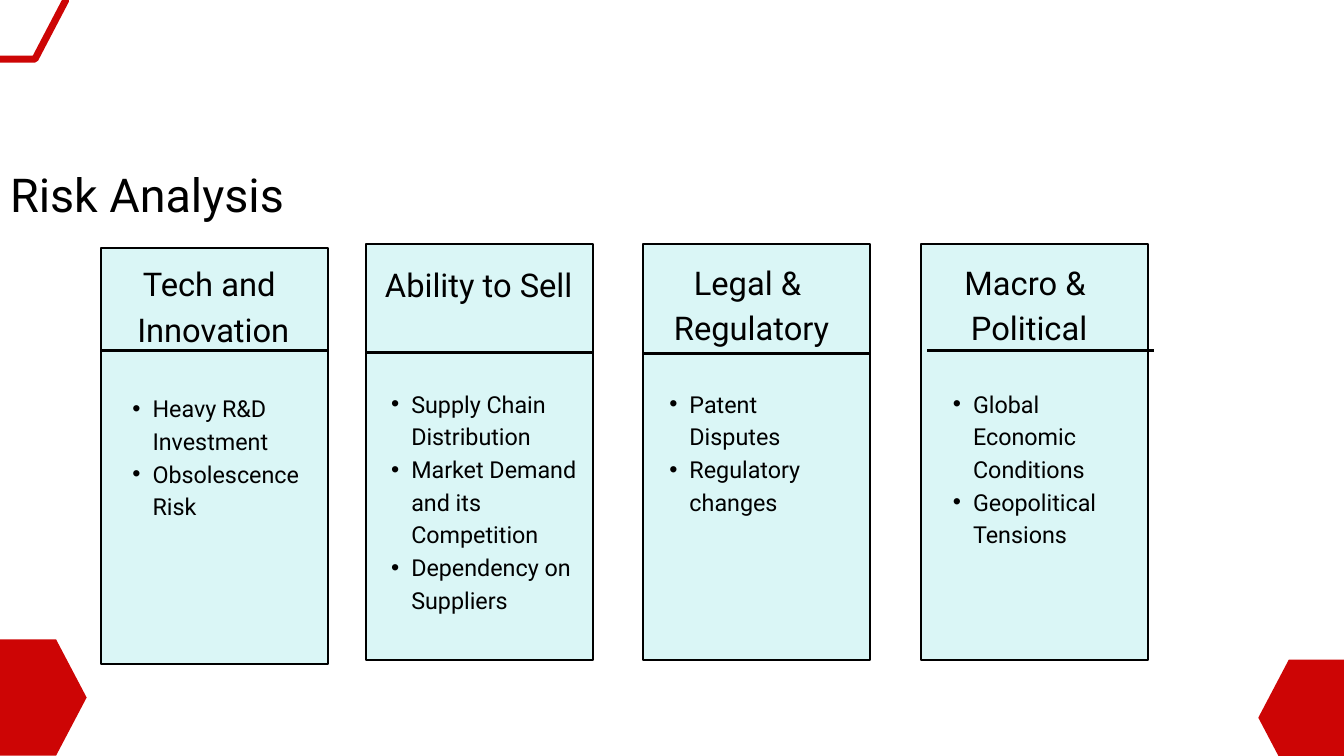
from collections import namedtuple

from lxml import etree
from pptx import Presentation
from pptx import util as u
from pptx.dml.color import RGBColor
from pptx.enum import shapes, text
from pptx.oxml import ns

COLORS = {"red": "CD0505", "card": "DAF6F6", "ink": "000000"}
FONT = "Roboto"
COLS, ROWS = 20, 11.25
CELL = u.Inches(1)
CARD_W, CARD_H = 3.38, 6.19

Card = namedtuple("Card", "left top rule_left rule_top head head_box items items_box")
CARDS = [
    Card(1.5, 3.69, 1.5, 5.22, ["Tech and ", "Innovation"], (1.97, 3.83, 2.41, 1.34),
         ["Heavy R&D Investment", "Obsolescence Risk"], (1.68, 5.8, 3.02, 1.91)),
    Card(5.44, 3.63, 5.44, 5.24, ["Ability to Sell"], (5.6, 3.85, 3.05, 0.66),
         ["Supply Chain Distribution", "Market Demand and its Competition",
          "Dependency on Suppliers"], (5.53, 5.73, 3.19, 3.35)),
    Card(9.57, 3.63, 9.57, 5.26, ["Legal & ", "Regulatory"], (9.79, 3.81, 2.79, 1.34),
         ["Patent Disputes", "Regulatory changes"], (9.67, 5.73, 3.02, 1.43)),
    Card(13.71, 3.63, 13.8, 5.22, ["Macro & ", "Political"], (14.29, 3.81, 2.05, 1.34),
         ["Global Economic Conditions", "Geopolitical Tensions"], (13.89, 5.73, 3.02, 2.39)),
]


def grid(*cells):
    return [round(c * CELL) for c in cells]


def rgb(name):
    return RGBColor.from_string(COLORS[name])


def paint(sp, fill=None, line=None, width=0):
    sp.shadow.inherit = False
    if fill:
        sp.fill.solid()
        sp.fill.fore_color.rgb = rgb(fill)
    else:
        sp.fill.background()
    if line:
        sp.line.color.rgb = rgb(line)
        sp.line.width = u.Pt(width)
    else:
        sp.line.fill.background()


def add_hexagon(s, cx, cy, half_w, half_h, half_edge, **style):
    points = [(-half_w, 0), (-half_edge, -half_h), (half_edge, -half_h),
              (half_w, 0), (half_edge, half_h), (-half_edge, half_h)]
    points = [grid(cx + dx, cy + dy) for dx, dy in points]
    outline = s.shapes.build_freeform(*points[0])
    outline.add_line_segments(points[1:], close=True)
    paint(outline.convert_to_shape(), **style)


def add_card(s, left, top):
    sp = s.shapes.add_shape(shapes.MSO_SHAPE.RECTANGLE, *grid(left, top, CARD_W, CARD_H))
    paint(sp, fill="card", line="ink", width=2.25)


def add_rule(s, left, top):
    line = s.shapes.add_connector(shapes.MSO_CONNECTOR.STRAIGHT,
                                  *grid(left, top, left + CARD_W, top))
    line.line.color.rgb = rgb("ink")
    line.line.width = u.Pt(3)
    etree.SubElement(line._element.spPr, ns.qn("a:effectLst"))


def add_bullet(p):
    pPr = p._p.get_or_add_pPr()
    pPr.set("marL", str(u.Inches(0.59)))
    pPr.set("indent", str(u.Inches(-0.3)))
    etree.SubElement(pPr, ns.qn("a:buFont"), typeface="Arial")
    etree.SubElement(pPr, ns.qn("a:buChar"), char="•")


def add_text(s, box, lines, size, spacing, align=text.PP_ALIGN.LEFT, bullets=False):
    tf = s.shapes.add_textbox(*grid(*box)).text_frame
    tf.word_wrap = True
    tf.auto_size = text.MSO_AUTO_SIZE.SHAPE_TO_FIT_TEXT
    tf.margin_left = tf.margin_top = tf.margin_right = tf.margin_bottom = 0
    for i, words in enumerate(lines):
        p = tf.add_paragraph() if i else tf.paragraphs[0]
        if bullets:
            p.level = 1
            add_bullet(p)
        p.alignment = align
        p.line_spacing = u.Pt(spacing)
        r = p.add_run()
        r.text = words
        r.font.name = FONT
        r.font.size = u.Pt(size)
        r.font.color.rgb = rgb("ink")


def main():
    prs = Presentation()
    prs.slide_width, prs.slide_height = grid(COLS, ROWS)
    s = prs.slides.add_slide(prs.slide_layouts[6])

    add_hexagon(s, 0, 0, 0.98, 0.88, 0.52, line="red", width=7.5)
    for cx, cy in [(0.375, 10.38), (19.64, 10.68)]:
        add_hexagon(s, cx, cy, 0.915, 0.865, 0.46, fill="red")

    for card in CARDS:
        add_card(s, card.left, card.top)
    for card in CARDS:
        add_rule(s, card.rule_left, card.rule_top)

    add_text(s, (0.15, 2.47, 5.3, 0.84), ["Risk Analysis"], 50, 60)
    for card in CARDS:
        add_text(s, card.head_box, card.head, 35, 49, text.PP_ALIGN.CENTER)
    for card in CARDS:
        add_text(s, card.items_box, card.items, 25, 35, bullets=True)

    prs.save("out.pptx")


if __name__ == "__main__":
    main()
